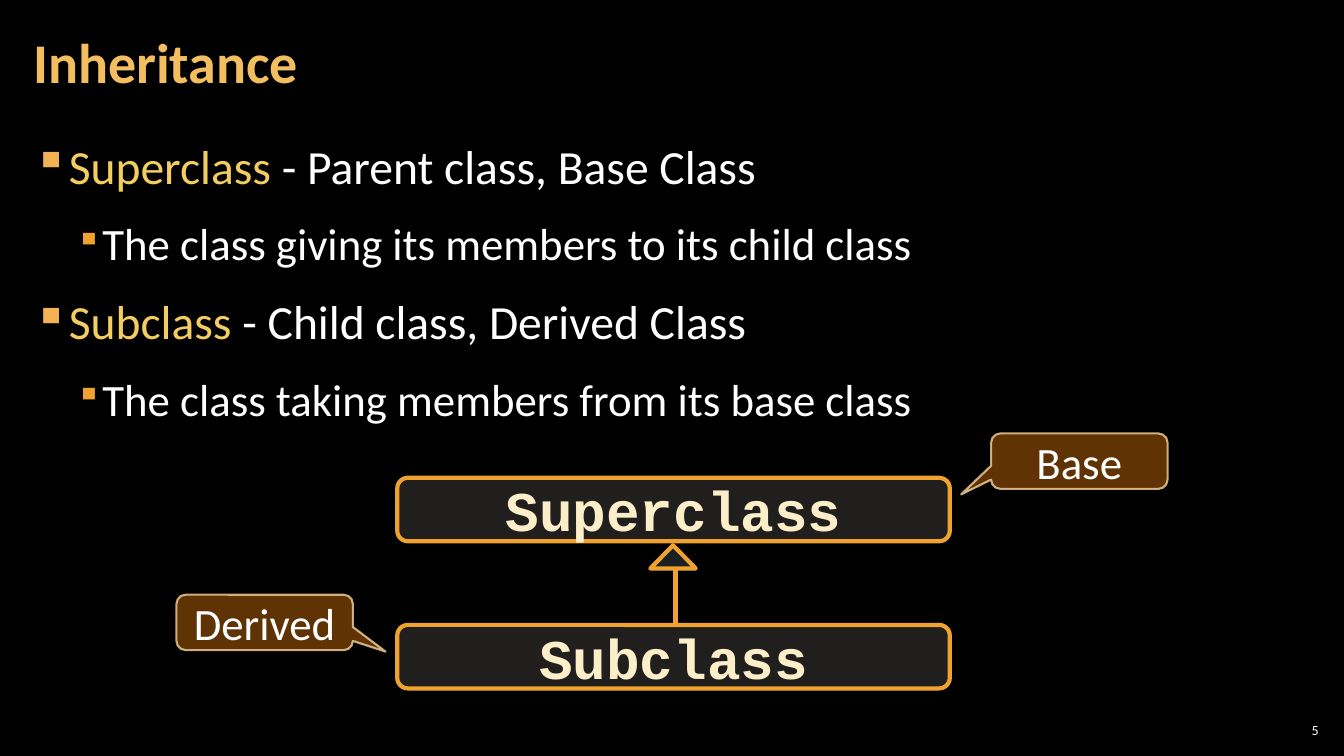
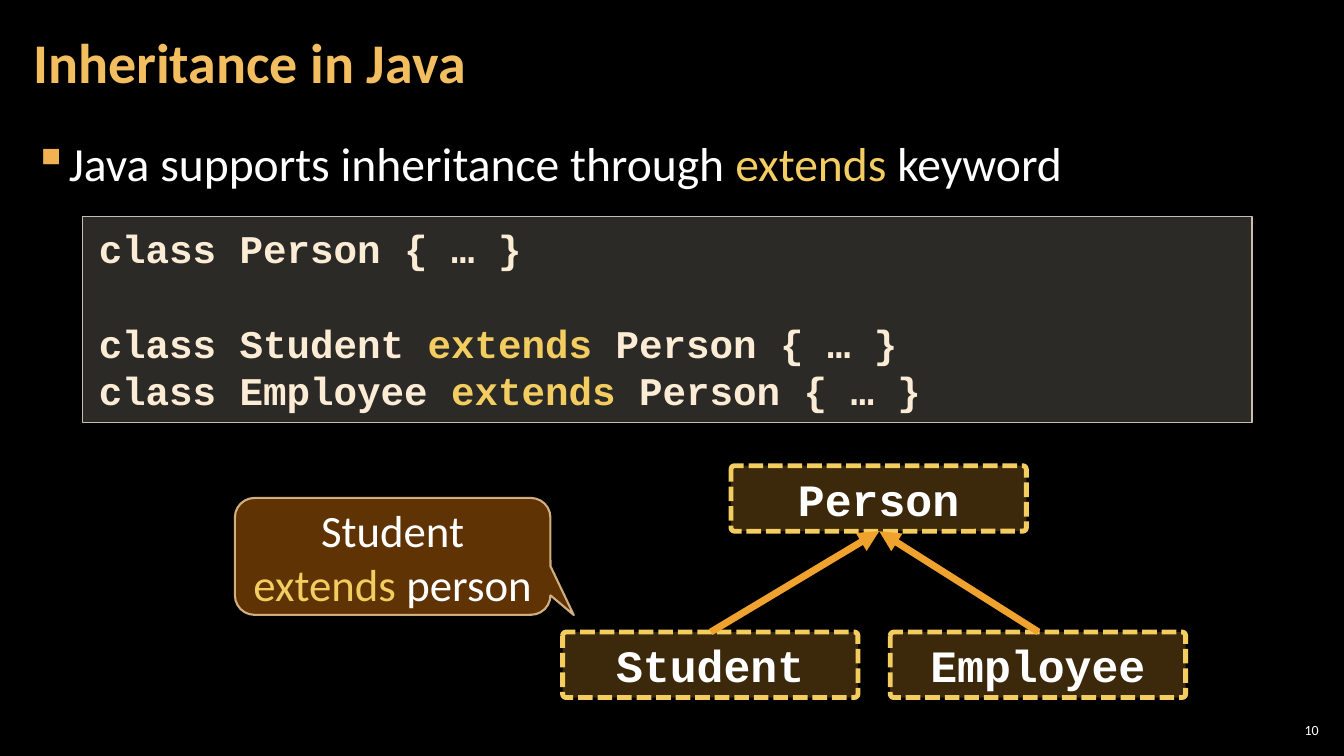
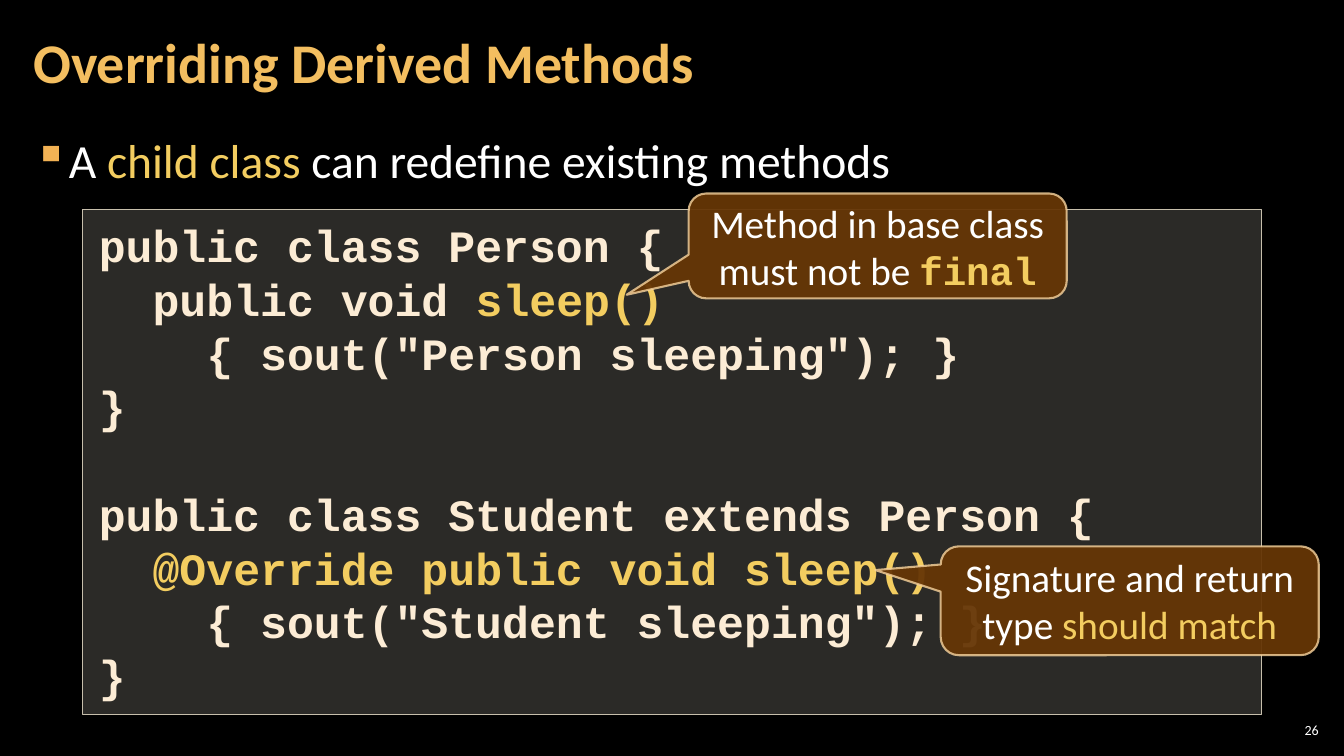
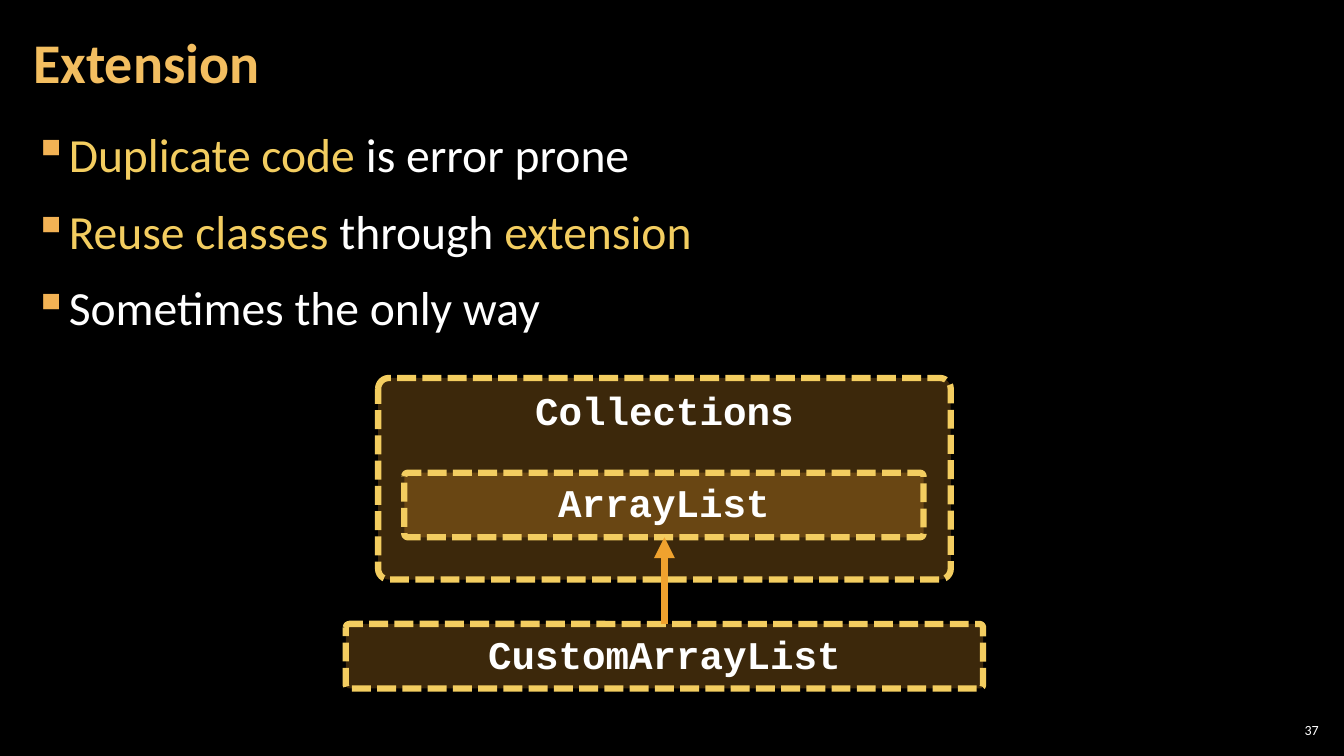
import pptx
import pptx.util
import pptx.dml.color
import pptx.enum.dml
import pptx.enum.shapes
import pptx.enum.text
import pptx.oxml.ns
import lxml.etree

Inches = pptx.util.Inches
Pt = pptx.util.Pt
RGB = pptx.dml.color.RGBColor.from_string
Kind = pptx.enum.shapes.MSO_SHAPE
Align = pptx.enum.text.PP_ALIGN
Anchor = pptx.enum.text.MSO_ANCHOR
Dash = pptx.enum.dml.MSO_LINE
qn = pptx.oxml.ns.qn
Sub = lxml.etree.SubElement

MONO = "Courier New"
COLORS = {
    "black": "000000", "white": "FFFFFF", "title": "F3BE60", "hot": "F3CD60",
    "orange": "F0A22E", "bullet": "F2B254", "sand": "D9D5C7", "edge": "C7BFAC",
    "code": "FCECD5", "cream": "FBEEC9", "brown": "663606", "rim": "F8D49E",
    "ice": "B5DBE5",
}
STYLES = {
    "class": dict(kind=Kind.ROUNDED_RECTANGLE, fill="sand", alpha=15, line="orange", width=3),
    "tip": dict(kind=Kind.ISOSCELES_TRIANGLE, fill="ice", alpha=15, line="orange", width=3),
    "code": dict(kind=Kind.RECTANGLE, fill="sand", alpha=20, line="edge", width=1),
    "note": dict(kind=Kind.ROUNDED_RECTANGULAR_CALLOUT, fill="brown", alpha=95,
                 line="rim", width=1.5, fade=80),
    "node": dict(kind=Kind.ROUNDED_RECTANGLE, fill="orange", alpha=25, line="hot",
                 width=3.5, dash=Dash.SQUARE_DOT, adj=[0.054]),
}
CODE = dict(size=28, color="code", font=MONO, bold=True, inset=(0.16, 0.08))
NODE = dict(size=32, font=MONO, bold=True, align=Align.CENTER)
NOTE = dict(size=32, align=Align.CENTER, anchor=Anchor.MIDDLE)


def write(frame, text, size=34, color="white", font="Calibri", bold=False,
          align=Align.LEFT, anchor=Anchor.TOP, inset=(0.1, 0.05), space=None,
          bullet=False, mono=False):
    frame.word_wrap = True
    frame.vertical_anchor = anchor
    frame.margin_left = frame.margin_right = Inches(inset[0])
    frame.margin_top = frame.margin_bottom = Inches(inset[1])
    para, gap = None, 0
    for row in text.split("\n"):
        if not row:
            gap = size * 1.2
            continue
        para = frame.add_paragraph() if para else frame.paragraphs[0]
        para.alignment = align
        if space:
            para.line_spacing = space
        if gap:
            para.space_before = Pt(gap)
            gap = 0
        line = row.lstrip(" ")
        deep = (len(row) - len(line)) // 2
        props = para._p.get_or_add_pPr()
        if bullet:
            para.space_before = para.space_after = Pt(6)
            props.set("marL", str(Inches([0.33, 0.67][deep])))
            props.set("indent", str(Inches([-0.33, -0.25][deep])))
            tint = Sub(props, qn("a:buClr"))
            Sub(tint, qn("a:srgbClr"), val=COLORS[["bullet", "orange"][deep]])
            Sub(props, qn("a:buSzPct"), val=["100000", "80000"][deep])
            Sub(props, qn("a:buChar"), char="▪")
        elif deep:
            props.set("marL", str(Pt(deep * size * 1.2)))
        for i, part in enumerate(line.split("*")):
            if part:
                hot = i % 2 == 1
                run = para.add_run()
                run.text = part
                run.font.size = Pt(size - 2 * deep if bullet else size)
                run.font.name = MONO if hot and mono else font
                run.font.bold = bold or (hot and mono)
                run.font.color.rgb = RGB(COLORS["hot" if hot else color])


def draw(slide, style, place, **more):
    look = {**STYLES[style], **more}
    shape = slide.shapes.add_shape(look["kind"], *map(Inches, place))
    shape.shadow.inherit = False
    shape.fill.solid()
    shape.fill.fore_color.rgb = RGB(COLORS[look["fill"]])
    shape.line.color.rgb = RGB(COLORS[look["line"]])
    shape.line.width = Pt(look["width"])
    if "dash" in look:
        shape.line.dash_style = look["dash"]
    for i, value in enumerate(look.get("adj", [])):
        shape.adjustments[i] = value
    tints = shape._element.spPr.iter(qn("a:srgbClr"))
    for tint, alpha in zip(tints, (look["alpha"], look.get("fade", 100))):
        Sub(tint, qn("a:alpha"), val=str(alpha * 1000))
    return shape.text_frame


deck = pptx.Presentation()
deck.slide_width, deck.slide_height = Inches(13.33), Inches(7.5)
back = deck.slide_master.background.fill
back.solid()
back.fore_color.rgb = RGB(COLORS["black"])

pages = [
    ("Inheritance", 5, 1.26, 1.1,
     "*Superclass* - Parent class, Base Class\n"
     "  The class giving its members to its child class\n"
     "*Subclass* - Child class, Derived Class\n"
     "  The class taking members from its base class"),
    ("Inheritance in Java", 10, 1.26, 1.05,
     "Java supports inheritance through *extends* keyword"),
    ("Overriding Derived Methods", 26, 1.26, 1.0,
     "A *child class* can redefine existing methods"),
    ("Extension", 37, 1.17, 1.05,
     "*Duplicate code* is error prone\n"
     "*Reuse classes* through *extension*\n"
     "Sometimes the only way"),
]
slides = []
for title, number, top, space, body in pages:
    slide = deck.slides.add_slide(deck.slide_layouts[6])
    slides.append(slide)
    for place, text, form in [
        ((0.21, 0.04, 10.47, 1.21), title,
         dict(size=40, color="title", bold=True, anchor=Anchor.MIDDLE, inset=(0.12, 0.04), space=0.9)),
        ((0.21, top, 12.91, 6.09), body,
         dict(bullet=True, inset=(0.12, 0.04), space=space)),
        ((12.65, 7.14, 0.47, 0.21), str(number),
         dict(size=10, align=Align.RIGHT, anchor=Anchor.MIDDLE, inset=(0.04, 0.04))),
    ]:
        frame = slide.shapes.add_textbox(*map(Inches, place)).text_frame
        write(frame, text, **form)
basic, java, override, extend = slides

for name, top in [("Superclass", 4.74), ("Subclass", 6.2)]:
    frame = draw(basic, "class", (3.94, top, 5.48, 0.63))
    write(frame, name, size=40, color="cream", font=MONO, bold=True,
          align=Align.CENTER, anchor=Anchor.MIDDLE)
draw(basic, "tip", (6.45, 5.41, 0.45, 0.23))
for name, left, top, adj in [
    ("Derived", 1.75, 5.9, [0.685, 0.526]),
    ("Base", 9.83, 4.3, [-0.67, 0.6]),
]:
    write(draw(basic, "note", (left, top, 1.75, 0.55), adj=adj), name, **NOTE)

frame = draw(java, "code", (0.82, 2.15, 11.6, 2.04))
write(frame, """class Person { … }

class Student *extends* Person { … }
class Employee *extends* Person { … }""", **CODE)
for name, left, top in [("Person", 7.25, 4.62), ("Student", 5.58, 6.27), ("Employee", 8.83, 6.27)]:
    write(draw(java, "node", (left, top, 2.93, 0.65)), name, **NODE)
frame = draw(java, "note", (2.33, 4.94, 3.13, 1.16), adj=[0.574, 0.502])
write(frame, "Student *extends* person", **NOTE)

frame = draw(override, "code", (0.82, 2.08, 11.69, 5.01))
write(frame, """public class Person {
  public void *sleep()*
    { sout("Person sleeping"); }
}

public class Student extends Person {
  *@Override public void sleep()*
    { sout("Student sleeping"); }
}""", **{**CODE, "size": 32})
for text, place, adj in [
    ("Signature and return type *should match*", (9.33, 5.42, 3.75, 1.08), [-0.673, -0.282]),
    ("Method in base class must not be *final*", (6.83, 1.92, 3.75, 1.04), [-0.664, 0.466]),
]:
    frame = draw(override, "note", place, adj=adj)
    write(frame, text, **{**NOTE, "size": 28}, mono="final" in text)

for name, place in [
    ("Collections", (3.75, 3.75, 5.68, 2)),
    ("ArrayList", (4.01, 4.69, 5.15, 0.64)),
    ("CustomArrayList", (3.43, 6.19, 6.32, 0.64)),
]:
    write(draw(extend, "node", place, width=4.5), name, **{**NODE, "size": 28})

for slide, ends, width, head in [
    (basic, (6.7, 6.21, 6.7, 5.63), 3, False),
    (java, (7.05, 6.27, 8.72, 5.27), 5, True),
    (java, (10.3, 6.27, 8.72, 5.27), 5, True),
    (extend, (6.59, 6.19, 6.59, 5.33), 5, True),
]:
    link = slide.shapes.add_connector(
        pptx.enum.shapes.MSO_CONNECTOR.STRAIGHT, *map(Inches, ends))
    link.line.color.rgb = RGB(COLORS["orange"])
    link.line.width = Pt(width)
    if head:
        Sub(link.line._get_or_add_ln(), qn("a:tailEnd"), type="triangle")
    Sub(link._element.spPr, qn("a:effectLst"))

deck.save("out.pptx")
